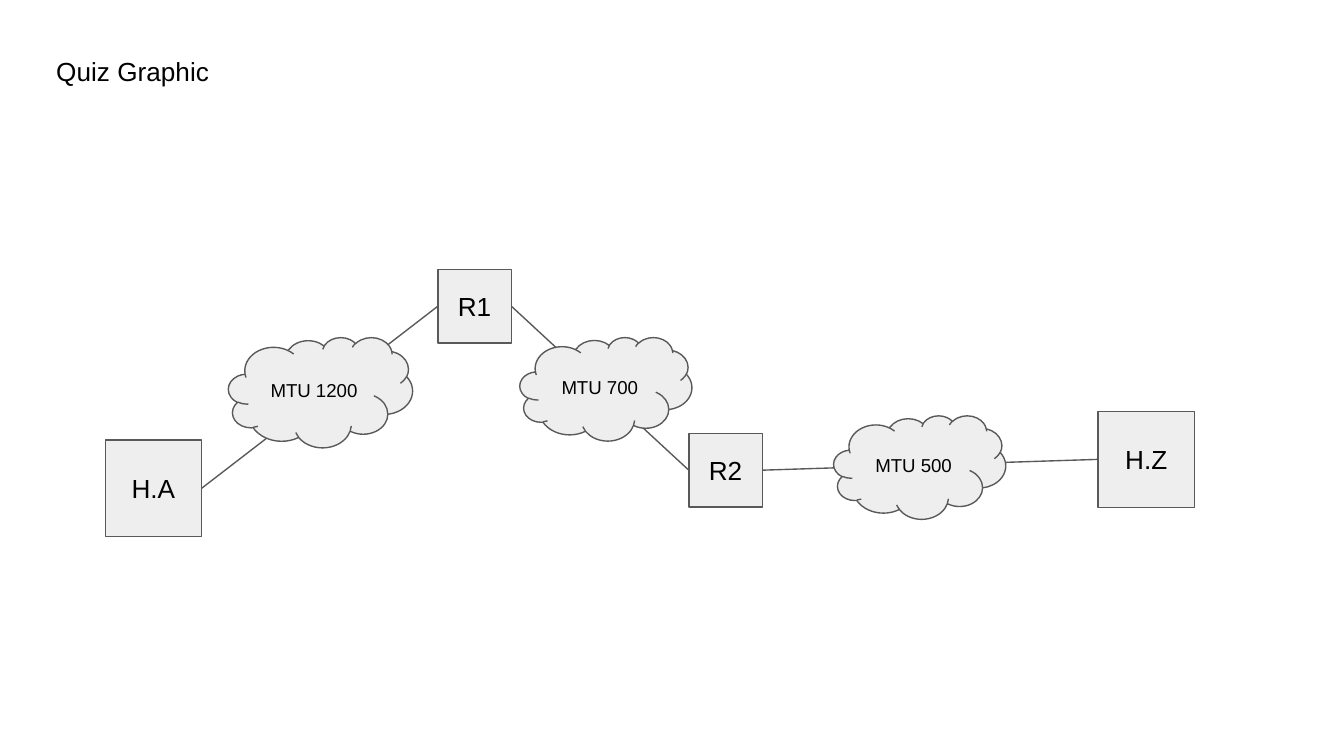
import itertools

import pptx
import pptx.dml.color
import pptx.enum.shapes
import pptx.enum.text
import pptx.oxml.ns
import pptx.util
from lxml import etree

SLIDE_WIDTH = pptx.util.Inches(10)
SLIDE_HEIGHT = SLIDE_WIDTH * 9 // 16
CELL = SLIDE_WIDTH // 100
FILL, OUTLINE, INK = "EEEEEE", "595959", "000000"
SHAPES = pptx.enum.shapes.MSO_SHAPE
LEFT_SITE, RIGHT_SITE = 1, 3

TITLE_BOX = (3.2, 3.1, 22.1, 5.5)
NETWORK_BOX = (7.83, 20.05, 81.1, 19.9)
HOST, ROUTER = 7.17, 5.47
NODES = [
    ("H.A", 0, 12.7, HOST),
    ("R1", 24.75, 0, ROUTER),
    ("R2", 43.42, 12.2, ROUTER),
    ("H.Z", 73.87, 10.55, HOST),
]
CLOUDS = [
    ("MTU 1200", 9.17, 5.05, 13.7, 8.2),
    ("MTU 700", 30.85, 5.05, 12.8, 7.7),
    ("MTU 500", 54.2, 10.87, 12.8, 7.7),
]


def color(hex_string):
    """Turn a hex string into a colour."""
    return pptx.dml.color.RGBColor.from_string(hex_string)


def cells(*lengths):
    """Turn grid columns or rows into slide lengths."""
    return [round(length * CELL) for length in lengths]


def style_line(line):
    """Give an outline or a link its colour and width."""
    line.color.rgb = color(OUTLINE)
    line.width = pptx.util.Pt(0.75)


def write(shape, text, size, align, anchor):
    """Put one styled line of text in a shape."""
    frame = shape.text_frame
    frame.text = text
    frame.word_wrap = True
    frame.vertical_anchor = anchor
    frame.margin_left = frame.margin_right = CELL
    frame.margin_top = frame.margin_bottom = CELL
    para = frame.paragraphs[0]
    para.alignment = align
    font = para.runs[0].font
    font.name, font.size = "Arial", pptx.util.Pt(size)
    font.color.rgb = color(INK)


def add_labelled_shape(slide, kind, box, text, size):
    """Add a grey outlined shape with a centred label."""
    shape = slide.shapes.add_shape(kind, *cells(*box))
    shape.shadow.inherit = False
    shape.fill.solid()
    shape.fill.fore_color.rgb = color(FILL)
    style_line(shape.line)
    write(shape, text, size, pptx.enum.text.PP_ALIGN.CENTER,
          pptx.enum.text.MSO_ANCHOR.MIDDLE)
    return shape


def add_link(slide, start, end):
    """Join the right side of one node to the left side of the next."""
    link = slide.shapes.add_connector(
        pptx.enum.shapes.MSO_CONNECTOR.STRAIGHT, 0, 0, 0, 0)
    link.begin_connect(start, RIGHT_SITE)
    link.end_connect(end, LEFT_SITE)
    style_line(link.line)
    etree.SubElement(link._element.spPr, pptx.oxml.ns.qn("a:effectLst"))


def add_title(slide, box):
    """Write the slide's title in its box."""
    title = slide.shapes.add_textbox(*cells(*box))
    write(title, "Quiz Graphic", 14, pptx.enum.text.PP_ALIGN.LEFT,
          pptx.enum.text.MSO_ANCHOR.TOP)


def add_network(slide, box):
    """Draw hosts and routers, their links and the networks between them."""
    left, top = box[:2]
    nodes = [
        add_labelled_shape(slide, SHAPES.RECTANGLE,
                           (left + x, top + y, side, side), name, 14)
        for name, x, y, side in NODES
    ]
    for start, end in itertools.pairwise(nodes):
        add_link(slide, start, end)
    for name, x, y, width, height in CLOUDS:
        add_labelled_shape(slide, SHAPES.CLOUD,
                           (left + x, top + y, width, height), name, 10)


def main():
    """Build and save the deck."""
    deck = pptx.Presentation()
    deck.slide_width = SLIDE_WIDTH
    deck.slide_height = SLIDE_HEIGHT
    slide = deck.slides.add_slide(deck.slide_layouts[6])
    slide.background.fill.solid()
    slide.background.fill.fore_color.rgb = color("FFFFFF")
    add_network(slide, NETWORK_BOX)
    add_title(slide, TITLE_BOX)
    deck.save("out.pptx")


if __name__ == "__main__":
    main()
